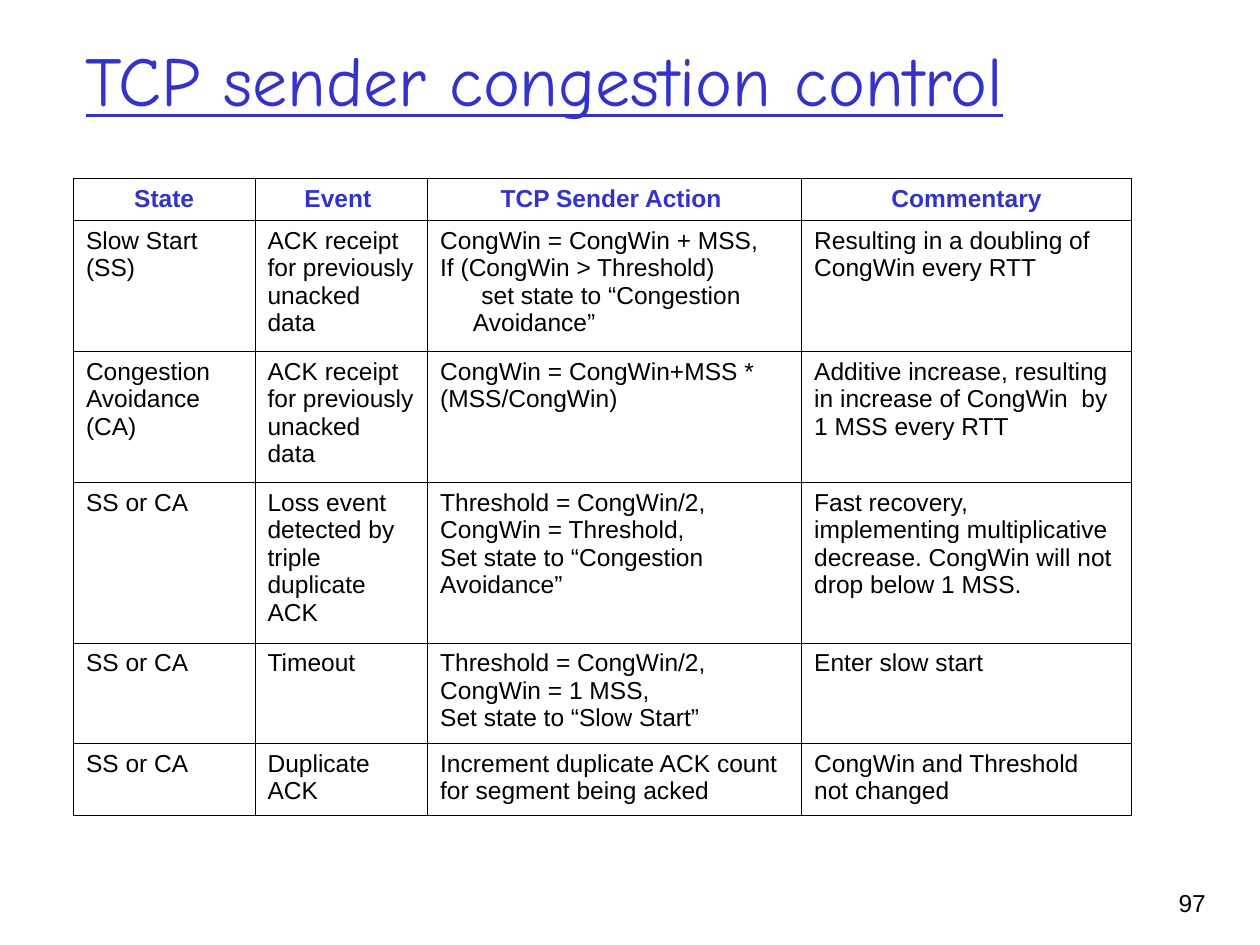
from lxml.etree import SubElement
from pptx import Presentation
from pptx.dml.color import RGBColor
from pptx.enum.text import MSO_ANCHOR, PP_ALIGN
from pptx.oxml.ns import qn
from pptx.util import Cm, Pt

BLUE = RGBColor(0x33, 0x33, 0xCC)
BLACK = RGBColor(0, 0, 0)

COLUMN_WIDTHS = [3.66, 3.48, 7.54, 6.65]
ROW_HEIGHTS = [0.85, 2.64, 2.64, 3.23, 2.03, 1.45]
INDENTED = "set state to “Congestion Avoidance”"
# Each line of a cell is a paragraph of its own
ROWS = [
    ["State", "Event ", "TCP Sender Action ", "Commentary"],
    ["Slow Start (SS)",
     "ACK receipt for previously unacked data",
     "CongWin = CongWin + MSS,\nIf (CongWin > Threshold)\n" + INDENTED,
     "Resulting in a doubling of CongWin every RTT"],
    ["Congestion\nAvoidance (CA)",
     "ACK receipt for previously unacked data",
     "CongWin = CongWin+MSS * (MSS/CongWin)",
     "Additive increase, resulting in increase of CongWin  by 1 MSS every RTT"],
    ["SS or CA",
     "Loss event detected by triple duplicate ACK",
     "Threshold = CongWin/2,\nCongWin = Threshold,\n"
     "Set state to “Congestion Avoidance”",
     "Fast recovery, implementing multiplicative decrease. "
     "CongWin will not drop below 1 MSS."],
    ["SS or CA",
     "Timeout",
     "Threshold = CongWin/2,\nCongWin = 1 MSS,\nSet state to “Slow Start”",
     "Enter slow start"],
    ["SS or CA",
     "Duplicate ACK",
     "Increment duplicate ACK count for segment being acked",
     "CongWin and Threshold not changed"],
]


def format_paragraph(para, size, color, align=PP_ALIGN.LEFT, name="Arial"):
    para.alignment = align
    para.font.name = name
    para.font.size = Pt(size)
    para.font.color.rgb = color


def set_borders(cell, top, bottom):
    """Draw black borders; they must come before the fill in the XML."""
    properties = cell._tc.get_or_add_tcPr()
    widths = {"a:lnL": 0.34, "a:lnR": 0.34, "a:lnT": top, "a:lnB": bottom}
    for tag, width in widths.items():
        line = SubElement(properties, qn(tag), w=str(Pt(width)))
        fill = SubElement(line, qn("a:solidFill"))
        SubElement(fill, qn("a:srgbClr"), val=str(BLACK))


def add_title(page, left, top, width, height):
    title = page.shapes.title
    title.left, title.top, title.width, title.height = left, top, width, height
    frame = title.text_frame
    frame.text = "TCP sender congestion control"
    frame.vertical_anchor = MSO_ANCHOR.MIDDLE
    para = frame.paragraphs[0]
    format_paragraph(para, 40, BLUE, name="Comic Neue")
    para.font.underline = True


def fill_cell(cell, text, is_header):
    cell.text = text
    cell.fill.background()
    for para in cell.text_frame.paragraphs:
        if is_header:
            format_paragraph(para, 14, BLUE, PP_ALIGN.CENTER)
        else:
            format_paragraph(para, 14, BLACK)
        para.font.bold = is_header
        if para.text == INDENTED:
            properties = para._p.get_or_add_pPr()
            properties.set("marL", str(Cm(0.66)))
            properties.set("indent", str(Cm(0.17)))


def add_state_table(page, left, top, width, height):
    table = page.shapes.add_table(
        len(ROWS), len(COLUMN_WIDTHS), left, top, width, height).table
    table.first_row = table.horz_banding = False
    for column, size in zip(table.columns, COLUMN_WIDTHS):
        column.width = Cm(size)
    last = len(ROWS) - 1
    for index, (row, size, texts) in enumerate(
            zip(table.rows, ROW_HEIGHTS, ROWS)):
        row.height = Cm(size)
        for cell, text in zip(row.cells, texts):
            set_borders(cell, top=0.96 if index == 0 else 0.45,
                        bottom=0.96 if index == last else 0.45)
            fill_cell(cell, text, is_header=index == 0)


def add_page_number(page, left, top, width, height):
    box = page.shapes.add_textbox(left, top, width, height)
    box.text_frame.word_wrap = True
    box.text_frame.text = "97"
    format_paragraph(box.text_frame.paragraphs[0], 14, BLACK, PP_ALIGN.RIGHT)


def main():
    deck = Presentation()
    deck.slide_width, deck.slide_height = Cm(25.4), Cm(19.05)
    page = deck.slides.add_slide(deck.slide_layouts[5])
    add_title(page, Cm(1.47), Cm(0), Cm(21.59), Cm(3.18))
    add_state_table(page, Cm(1.48), Cm(3.6),
                    Cm(sum(COLUMN_WIDTHS)), Cm(sum(ROW_HEIGHTS)))
    add_page_number(page, Cm(22.68), Cm(17.78), Cm(1.88), Cm(1.27))
    deck.save("out.pptx")


if __name__ == "__main__":
    main()
